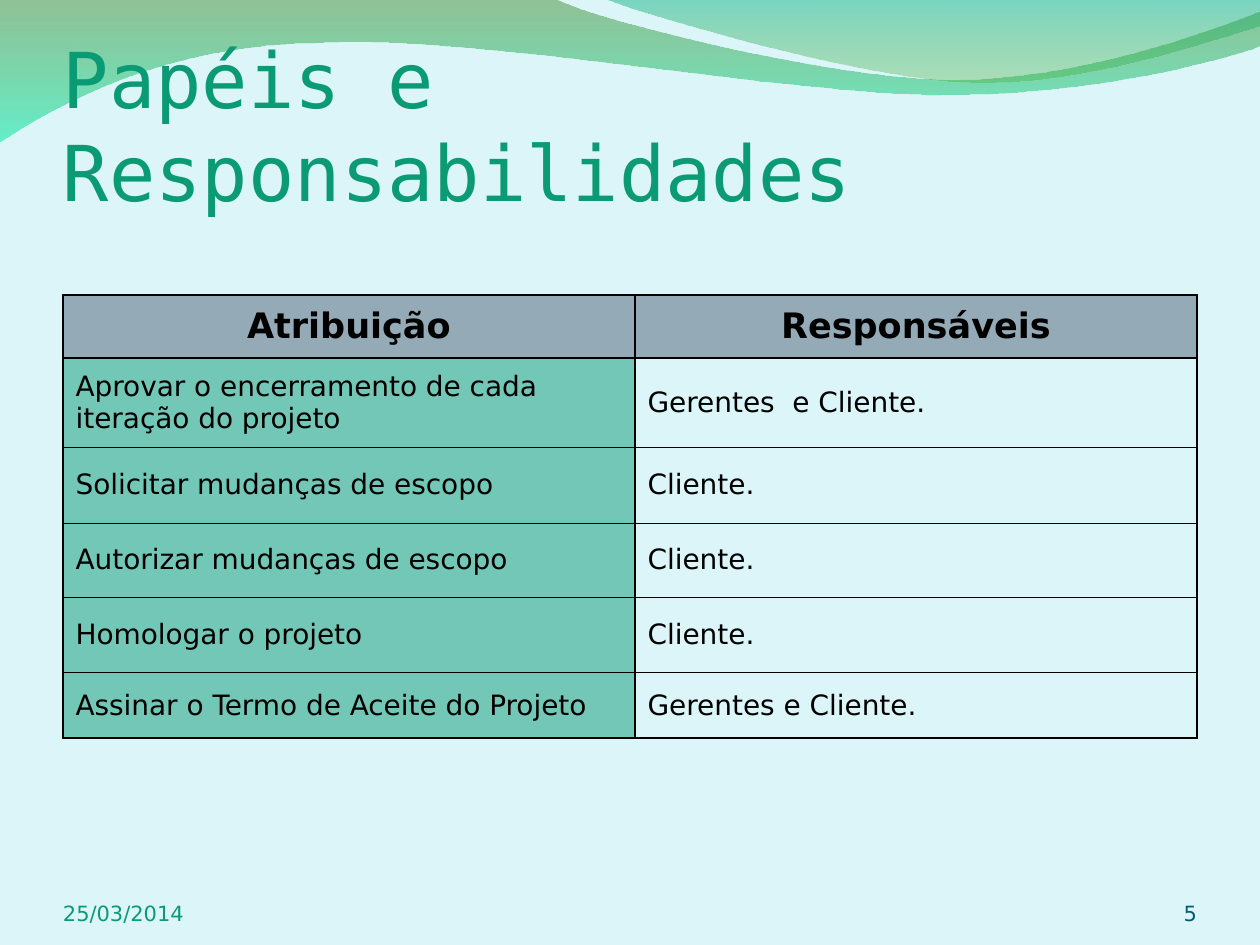
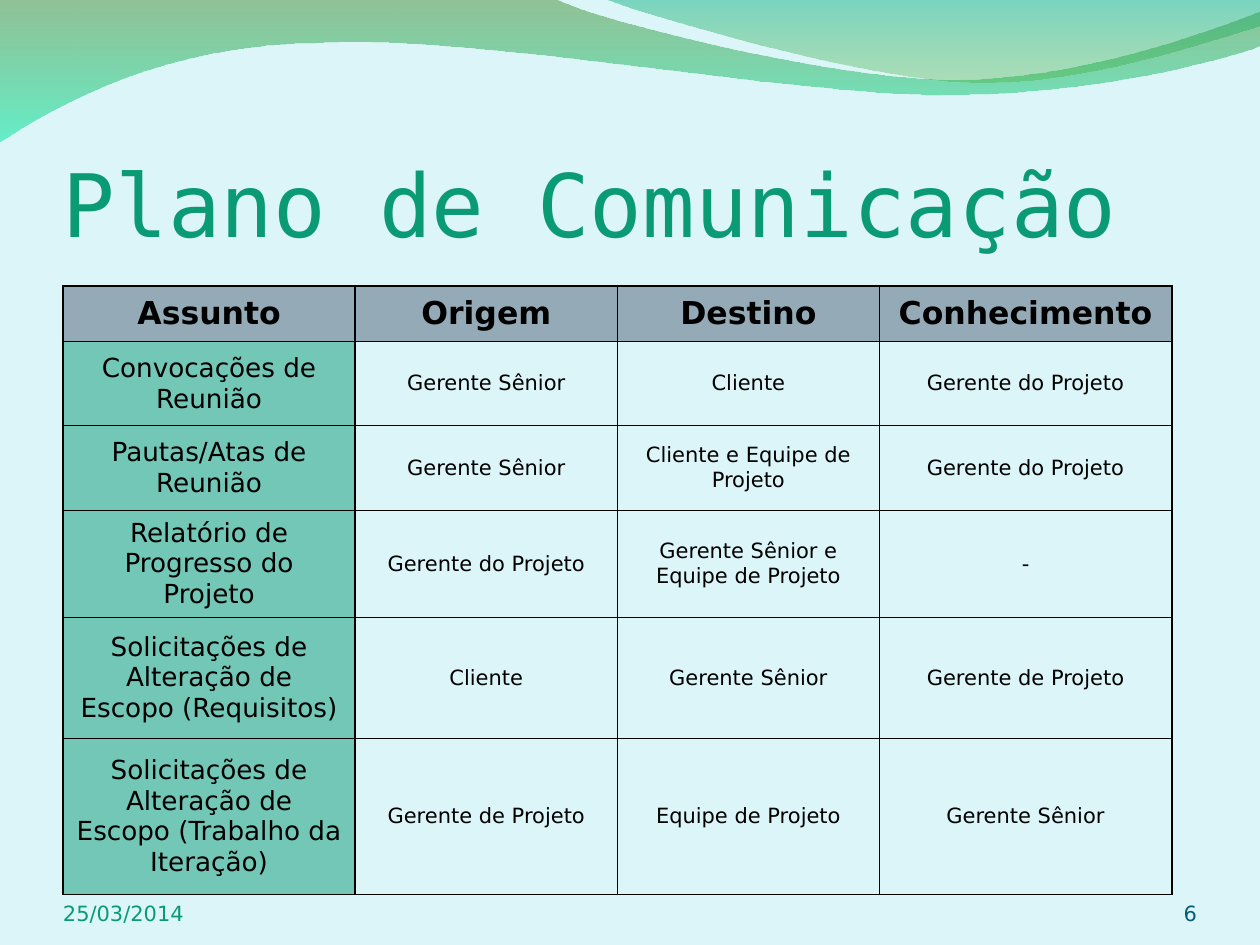
from pptx import Presentation
from pptx.dml.color import RGBColor
from pptx.enum.text import MSO_ANCHOR, PP_ALIGN
from pptx.oxml.ns import qn
from pptx.util import Inches, Pt
from lxml.etree import SubElement

COLORS = {
    "background": "DBF5F9",
    "green": "0B9B74",
    "page_number": "045C75",
    "header": "4E6174",
    "text": "000000",
}
BODY_FONT = "DejaVu Sans"
TITLE_FONT = "DejaVu Sans Mono"
THIN, THICK = 0.45, 1.08
CELL_OPACITY = 50
DATE = "25/03/2014"

# Each segment holds one end point (line) or two controls and an end point (curve).
# Gradient stops are (colour, opacity percent), from top to bottom.
WAVES = [
    {
        "start": (0, -0.01),
        "segments": [
            [(4.4, -0.01)],
            [(4.76, 0.17), (6.64, 0.63), (7.58, 0.63)],
            [(8.53, 0.63), (9.58, 0.26), (10, 0.09)],
            [(10.01, 0.36)],
            [(9.83, 0.44), (8.7, 0.76), (7.46, 0.75)],
            [(6.22, 0.75), (3.82, 0.28), (2.57, 0.34)],
            [(1.29, 0.35), (0.46, 0.83), (-0.01, 1.13)],
        ],
        "stops": [("37831E", 45), ("00EBA2", 55)],
    },
    {
        "start": (4.79, -0.01),
        "segments": [
            [(5.09, 0.11), (6.82, 0.62), (7.69, 0.65)],
            [(8.56, 0.69), (9.61, 0.32), (10, 0.21)],
            [(10, 0)],
        ],
        "stops": [("00AD7A", 45), ("3FA71C", 30)],
    },
]

SLIDES = [
    {
        "number": 5,
        "title": "Papéis e Responsabilidades",
        "title_size": 44,
        "title_box": (0.5, 0.78, 9, 0.94),
        "table_top": 2.34,
        "columns": [4.54, 4.46],
        "row_heights": [0.5, 0.71, 0.6, 0.59, 0.6, 0.52],
        "sizes": {"header": 20, "first_column": 16, "body": 16},
        "body_alignment": PP_ALIGN.LEFT,
        "bottom_border": THICK,
        "rows": [
            ("Atribuição", "Responsáveis"),
            ("Aprovar o encerramento de cada iteração do projeto", "Gerentes  e Cliente."),
            ("Solicitar mudanças de escopo", "Cliente."),
            ("Autorizar mudanças de escopo", "Cliente."),
            ("Homologar o projeto", "Cliente."),
            ("Assinar o Termo de Aceite do Projeto", "Gerentes e Cliente."),
        ],
    },
    {
        "number": 6,
        "title": "Plano de Comunicação",
        "title_size": 50,
        "title_box": (0.5, 0.77, 9, 1.25),
        "table_top": 2.27,
        "columns": [2.32, 2.08, 2.08, 2.32],
        "row_heights": [0.44, 0.67, 0.67, 0.67, 0.96, 1.24],
        "sizes": {"header": 18, "first_column": 15, "body": 12},
        "body_alignment": PP_ALIGN.CENTER,
        "bottom_border": THIN,
        "rows": [
            ("Assunto", "Origem", "Destino", "Conhecimento"),
            ("Convocações de Reunião", "Gerente Sênior", "Cliente", "Gerente do Projeto"),
            ("Pautas/Atas de Reunião", "Gerente Sênior", "Cliente e Equipe de Projeto",
             "Gerente do Projeto"),
            ("Relatório de Progresso do Projeto", "Gerente do Projeto",
             "Gerente Sênior e Equipe de Projeto", "-"),
            ("Solicitações de Alteração de Escopo (Requisitos)", "Cliente",
             "Gerente Sênior", "Gerente de Projeto"),
            ("Solicitações de Alteração de Escopo (Trabalho da Iteração)",
             "Gerente de Projeto", "Equipe de Projeto", "Gerente Sênior"),
        ],
    },
]


def color(name):
    return RGBColor.from_string(COLORS[name])


def set_opacity(color_element, percent):
    SubElement(color_element, qn("a:alpha"), val=str(percent * 1000))


def format_paragraph(paragraph, size, color_name, font=BODY_FONT,
                     alignment=PP_ALIGN.LEFT, bold=False):
    paragraph.alignment = alignment
    for run in paragraph.runs:
        run.font.name = font
        run.font.size = Pt(size)
        run.font.bold = bold
        run.font.color.rgb = color(color_name)


def add_text(slide, text, box, size, color_name, top_inset=0, **style):
    frame = slide.shapes.add_textbox(*map(Inches, box)).text_frame
    frame.word_wrap = True
    frame.vertical_anchor = MSO_ANCHOR.BOTTOM
    frame.margin_left = frame.margin_right = frame.margin_bottom = 0
    frame.margin_top = Inches(top_inset)
    frame.text = text
    format_paragraph(frame.paragraphs[0], size, color_name, **style)


def bend_segments(shape, segments):
    """Turn each run of three straight segments that describes a curve into one Bézier."""
    lines = iter(list(shape._element.iter(qn("a:lnTo"))))
    for segment in segments:
        parts = [next(lines) for _ in segment]
        if len(parts) == 3:
            curve = parts[0].makeelement(qn("a:cubicBezTo"))
            parts[0].addprevious(curve)
            for part in parts:
                curve.append(part[0])
                part.getparent().remove(part)


def add_wave(slide, wave):
    builder = slide.shapes.build_freeform(*map(Inches, wave["start"]))
    points = [tuple(map(Inches, point)) for segment in wave["segments"] for point in segment]
    builder.add_line_segments(points, close=True)
    shape = builder.convert_to_shape()
    bend_segments(shape, wave["segments"])
    shape.shadow.inherit = False
    shape.line.fill.background()
    shape.fill.gradient()
    shape.fill.gradient_angle = 270
    for position, (stop, (hex_color, _)) in enumerate(
            zip(shape.fill.gradient_stops, wave["stops"])):
        stop.color.rgb = RGBColor.from_string(hex_color)
        stop.position = position
    for element, (_, opacity) in zip(shape._element.iter(qn("a:srgbClr")), wave["stops"]):
        set_opacity(element, opacity)


def set_borders(cell, widths):
    properties = cell._tc.get_or_add_tcPr()
    for side in "LRTB":
        line = SubElement(properties, qn(f"a:ln{side}"), w=str(Pt(widths[side])))
        fill = SubElement(line, qn("a:solidFill"))
        SubElement(fill, qn("a:srgbClr"), val=COLORS["text"])


def add_table(slide, content):
    rows, columns = content["rows"], content["columns"]
    heights = content["row_heights"]
    table = slide.shapes.add_table(
        len(rows), len(columns), Inches(0.5), Inches(content["table_top"]),
        Inches(sum(columns)), Inches(sum(heights))).table
    table.first_row = table.horz_banding = False
    for column, width in zip(table.columns, columns):
        column.width = Inches(width)
    for row, height in zip(table.rows, heights):
        row.height = Inches(height)

    # Thick rules: around the table, under the header and beside the first column.
    horizontal = [THICK, THICK] + [THIN] * (len(rows) - 2) + [content["bottom_border"]]
    vertical = [THICK, THICK] + [THIN] * (len(columns) - 2) + [THICK]
    for i, texts in enumerate(rows):
        for j, text in enumerate(texts):
            if i == 0:
                role, fill_name = "header", "header"
            elif j == 0:
                role, fill_name = "first_column", "green"
            else:
                role, fill_name = "body", "background"
            cell = table.cell(i, j)
            set_borders(cell, {"L": vertical[j], "R": vertical[j + 1],
                               "T": horizontal[i], "B": horizontal[i + 1]})
            cell.fill.solid()
            cell.fill.fore_color.rgb = color(fill_name)
            set_opacity(cell._tc.tcPr.find(qn("a:solidFill"))[0], CELL_OPACITY)
            cell.vertical_anchor = MSO_ANCHOR.MIDDLE
            cell.text_frame.text = text
            is_header = role == "header"
            format_paragraph(
                cell.text_frame.paragraphs[0], content["sizes"][role], "text", bold=is_header,
                alignment=PP_ALIGN.CENTER if is_header else content["body_alignment"])


def add_slide(presentation, content):
    slide = presentation.slides.add_slide(presentation.slide_layouts[6])
    slide.background.fill.solid()
    slide.background.fill.fore_color.rgb = color("background")
    for wave in WAVES:
        add_wave(slide, wave)
    add_text(slide, content["title"], content["title_box"], content["title_size"],
             "green", top_inset=0.05, font=TITLE_FONT)
    add_table(slide, content)
    add_text(slide, DATE, (0.5, 6.95, 2.33, 0.4), 12, "green")
    add_text(slide, str(content["number"]), (8.67, 6.95, 0.83, 0.4), 12,
             "page_number", alignment=PP_ALIGN.RIGHT)


def main():
    presentation = Presentation()
    presentation.slide_width = Inches(10)
    presentation.slide_height = Inches(7.5)
    for content in SLIDES:
        add_slide(presentation, content)
    presentation.save("out.pptx")


if __name__ == "__main__":
    main()
